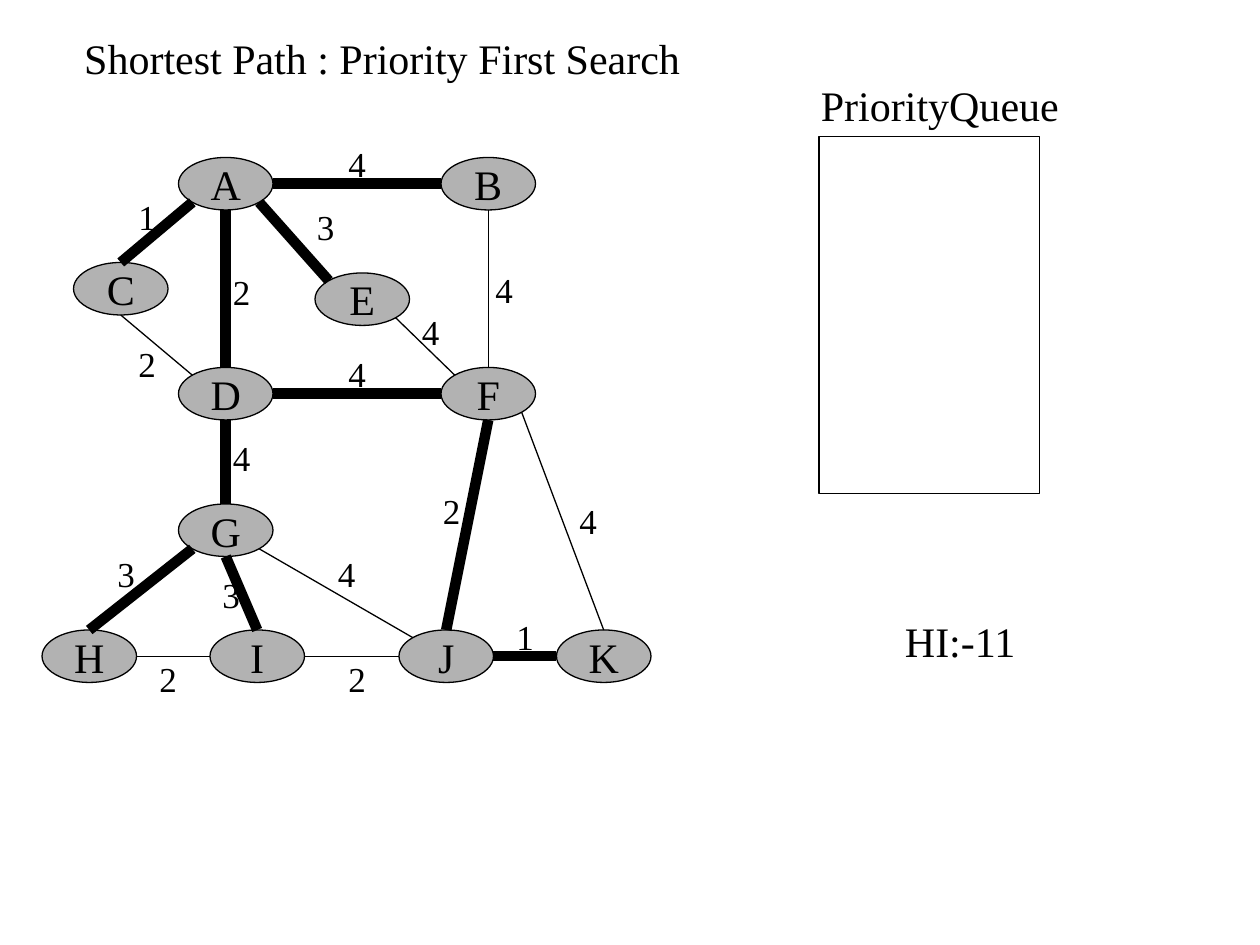
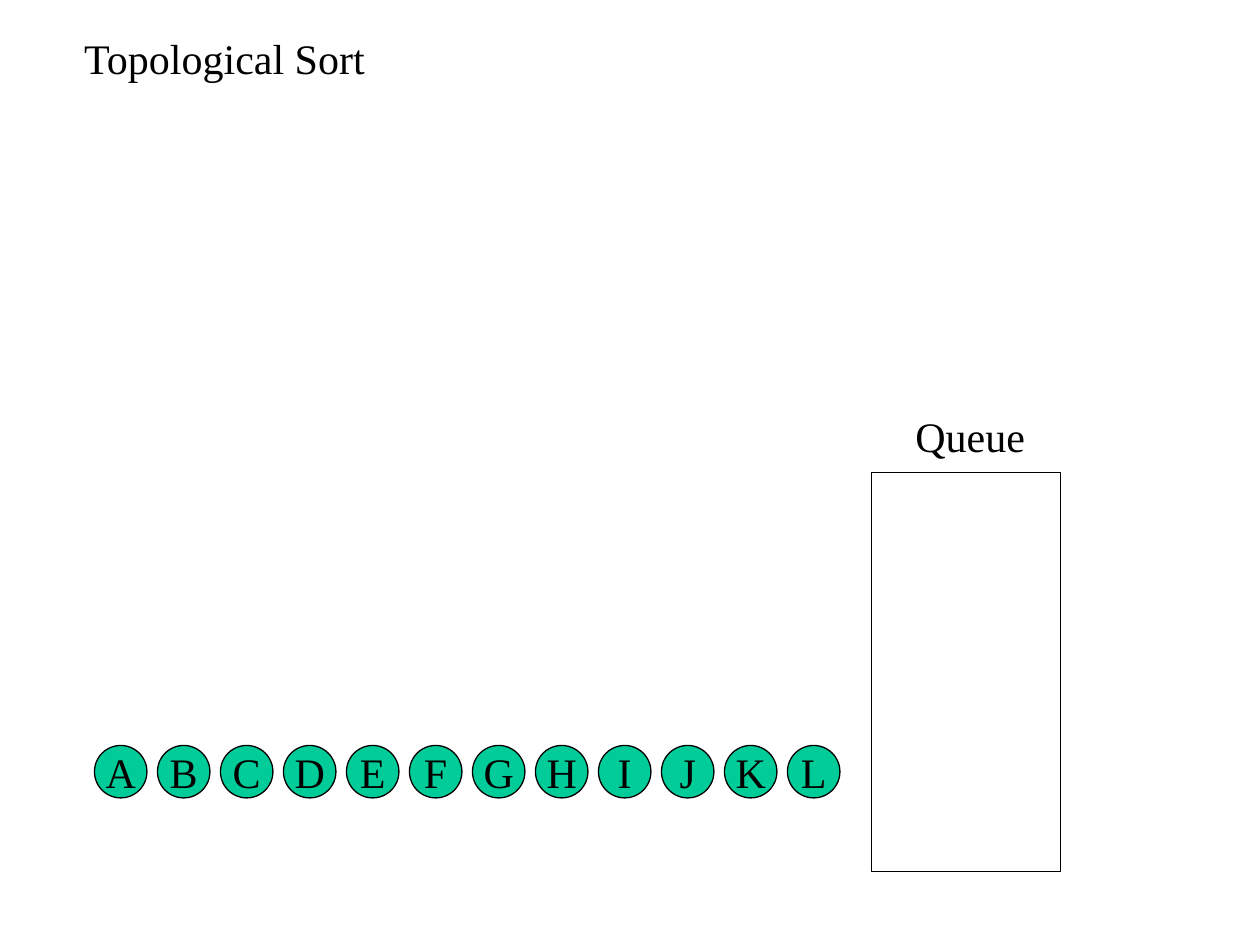
from math import cos, pi, sin

from lxml import etree
from pptx import Presentation
from pptx.dml.color import RGBColor
from pptx.enum.shapes import MSO_CONNECTOR, MSO_SHAPE
from pptx.enum.text import MSO_ANCHOR, MSO_AUTO_SIZE, PP_ALIGN
from pptx.oxml.ns import qn
from pptx.util import Inches, Pt

OVAL, RECTANGLE = MSO_SHAPE.OVAL, MSO_SHAPE.RECTANGLE
STRAIGHT = MSO_CONNECTOR.STRAIGHT
MIDDLE, CENTER, LEFT = MSO_ANCHOR.MIDDLE, PP_ALIGN.CENTER, PP_ALIGN.LEFT
GROW = MSO_AUTO_SIZE.SHAPE_TO_FIT_TEXT

COLUMNS, ROWS = 120, 90
COLORS = {"ink": "000000", "graph": "B2B2B2", "sorted": "00CC99"}
FONT = "Times New Roman"
THIN, THICK = 0.75, 6
LARGE, SMALL = 24, 20

TOP, TOP_LEFT, SIDE_LEFT, BOTTOM_LEFT, BOTTOM, BOTTOM_RIGHT, SIDE_RIGHT = range(7)

GRAPH_NODES = {
    "A": (17, 15), "B": (42, 15), "C": (7, 25), "D": (17, 35),
    "E": (30, 26), "F": (42, 35), "G": (17, 48), "H": (4, 60),
    "I": (20, 60), "J": (38, 60), "K": (53, 60),
}
GRAPH_EDGES = [
    ("A", SIDE_RIGHT, "B", SIDE_LEFT, THICK, 4, (32, 13)),
    ("A", BOTTOM_LEFT, "C", TOP, THICK, 1, (12, 18)),
    ("A", BOTTOM, "D", TOP, THICK, 2, (21, 25.2)),
    ("A", BOTTOM_RIGHT, "E", TOP_LEFT, THICK, 3, (29, 19)),
    ("B", BOTTOM, "F", TOP, THIN, 4, (46, 25)),
    ("E", BOTTOM_RIGHT, "F", TOP_LEFT, THIN, 4, (39, 29)),
    ("D", SIDE_RIGHT, "F", SIDE_LEFT, THICK, 4, (32, 33)),
    ("D", BOTTOM, "G", TOP, THICK, 4, (21, 41)),
    ("G", BOTTOM_LEFT, "H", TOP, THICK, 3, (10, 52)),
    ("G", BOTTOM, "I", TOP, THICK, 3, (20, 54)),
    ("G", BOTTOM_RIGHT, "J", TOP_LEFT, THIN, 4, (31, 52)),
    ("F", BOTTOM, "J", TOP, THICK, 2, (41, 46)),
    ("F", BOTTOM_RIGHT, "K", TOP, THIN, 4, (54, 47)),
    ("J", SIDE_RIGHT, "K", SIDE_LEFT, THICK, 1, (48, 58)),
    ("C", BOTTOM, "D", TOP_LEFT, THIN, 2, (12, 32)),
    ("H", SIDE_RIGHT, "I", SIDE_LEFT, THIN, 2, (14, 62)),
    ("I", SIDE_RIGHT, "J", SIDE_LEFT, THIN, 2, (32, 62)),
]


def oval_site(node, site):
    angle = site * pi / 4
    x = node.left + node.width / 2 * (1 - sin(angle))
    y = node.top + node.height / 2 * (1 - cos(angle))
    return round(x), round(y)


class Deck:
    def __init__(self):
        self.presentation = Presentation()
        self.presentation.slide_width = Inches(10)
        self.presentation.slide_height = Inches(7.5)
        self.column = self.presentation.slide_width / COLUMNS
        self.row = self.presentation.slide_height / ROWS
        self.slide = None

    def add_slide(self, title, title_columns):
        blank = self.presentation.slide_layouts[6]
        self.slide = self.presentation.slides.add_slide(blank)
        self.text(title, 6.84, 2.5, title_columns)

    def box(self, left, top, width, height):
        return (round(left * self.column), round(top * self.row),
                round(width * self.column), round(height * self.row))

    def set_text(self, shape, text, size, alignment):
        shape.text_frame.word_wrap = False
        paragraph = shape.text_frame.paragraphs[0]
        paragraph.text = text
        paragraph.alignment = alignment
        paragraph.font.name = FONT
        paragraph.font.size = Pt(size)
        paragraph.font.color.rgb = RGBColor.from_string(COLORS["ink"])

    def outline(self, shape, width):
        shape.line.color.rgb = RGBColor.from_string(COLORS["ink"])
        shape.line.width = Pt(width)

    def text(self, text, left, top, width, height=6, size=LARGE):
        shape = self.slide.shapes.add_textbox(*self.box(left, top, width, height))
        self.set_text(shape, text, size, LEFT)
        shape.text_frame.auto_size = GROW

    def node(self, letter, left, top, width, color):
        shape = self.slide.shapes.add_shape(OVAL, *self.box(left, top, width, 5))
        shape.shadow.inherit = False
        shape.fill.solid()
        shape.fill.fore_color.rgb = RGBColor.from_string(COLORS[color])
        self.outline(shape, THIN)
        self.set_text(shape, letter, LARGE, CENTER)
        shape.text_frame.vertical_anchor = MIDDLE
        return shape

    def frame(self, left, top, width, height):
        shape = self.slide.shapes.add_shape(
            RECTANGLE, *self.box(left, top, width, height))
        shape.shadow.inherit = False
        shape.fill.background()
        self.outline(shape, THIN)

    def edge(self, start, start_site, end, end_site, width):
        connector = self.slide.shapes.add_connector(
            STRAIGHT, *oval_site(start, start_site), *oval_site(end, end_site))
        self.outline(connector, width)
        element = connector._element
        etree.SubElement(element.spPr, qn("a:effectLst"))
        joints = element.nvCxnSpPr.cNvCxnSpPr
        for tag, node, site in (("a:stCxn", start, start_site),
                                ("a:endCxn", end, end_site)):
            etree.SubElement(joints, qn(tag), id=str(node.shape_id), idx=str(site))


def shortest_path_slide(deck):
    deck.add_slide("Shortest Path : Priority First Search", 59.2)
    nodes = {letter: deck.node(letter, left, top, 9, "graph")
             for letter, (left, top) in GRAPH_NODES.items()}
    for start, start_site, end, end_site, width, _, _ in GRAPH_EDGES:
        deck.edge(nodes[start], start_site, nodes[end], end_site, width)
    for *_, weight, (left, top) in GRAPH_EDGES:
        deck.text(str(weight), left, top, 4.1, 5.25, SMALL)
    deck.frame(78, 13, 21, 34)
    deck.text("PriorityQueue", 77, 7, 25.1)
    deck.text("HI:-11", 85, 58, 13.1)


def topological_sort_slide(deck):
    deck.add_slide("Topological Sort", 29.4)
    for index, letter in enumerate("ABCDEFGHIJKL"):
        deck.node(letter, 9 + 6 * index, 71, 5, "sorted")
    deck.frame(83, 45, 18, 38)
    deck.text("Queue", 86, 38.5, 12.8)


def main():
    deck = Deck()
    shortest_path_slide(deck)
    topological_sort_slide(deck)
    deck.presentation.save("out.pptx")


if __name__ == "__main__":
    main()
